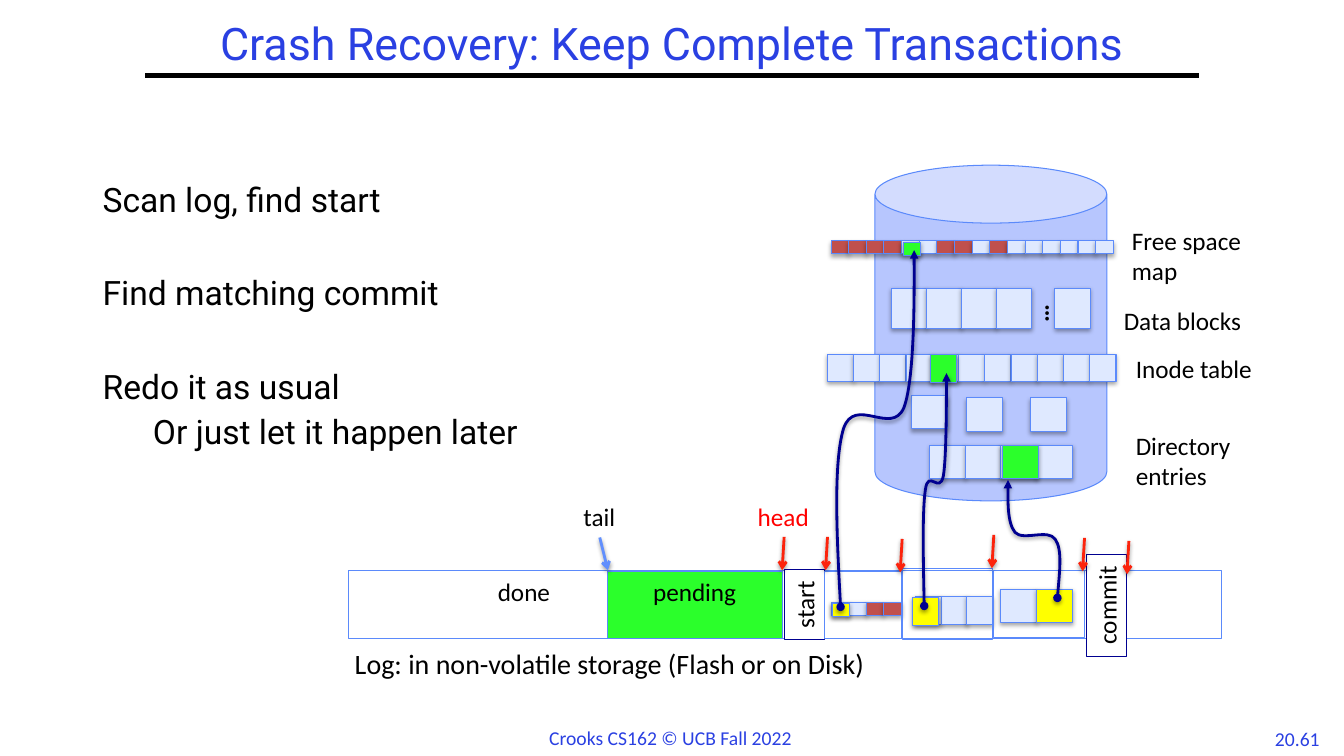
from dataclasses import dataclass

from pptx import Presentation
from pptx.dml.color import RGBColor
from pptx.enum.shapes import MSO_CONNECTOR as Link, MSO_SHAPE as Preset
from pptx.enum.text import MSO_ANCHOR as Anchor, PP_ALIGN as Align
from pptx.oxml import parse_xml
from pptx.oxml.ns import nsdecls, qn
from pptx.util import Pt


@dataclass(frozen=True)
class Theme:
    heading: str = "Roboto"
    label: str = "Calibri"
    title_size: float = 32
    body_size: float = 24
    caption_size: float = 20
    label_size: float = 18
    footer_size: float = 14
    blue: str = "2A40E2"
    black: str = "000000"
    white: str = "FFFFFF"
    edge: str = "5B8AFB"
    disk: str = "B7C6FE"
    block: str = "DFE9FF"
    used: str = "C0504D"
    pending: str = "2BFF2B"
    logged: str = "FFFF00"
    navy: str = "000090"
    arrow: str = "FC230C"
    tail: str = "618FFD"
    head: str = "FF0000"
    thin: float = 0.75
    medium: float = 2
    thick: float = 3


@dataclass(frozen=True)
class Box:
    left: float
    top: float
    width: float
    height: float

    def inner(self, x, y, width, height):
        return Box(self.left + x, self.top + y, width, height)

    def point(self, x, y):
        return Pt(self.left + x), Pt(self.top + y)

    def frame(self):
        return Pt(self.left), Pt(self.top), Pt(self.width), Pt(self.height)


THEME = Theme()
CELL_FILLS = {".": THEME.block, "R": THEME.used, "G": THEME.pending, "Y": THEME.logged}


def rgb(value):
    return RGBColor.from_string(value)


def style_text(paragraph, size, color=THEME.black, font=THEME.label, bold=False):
    for run in paragraph.runs:
        run.font.name, run.font.size, run.font.bold = font, Pt(size), bold
        run.font.color.rgb = rgb(color)


def add_label(slide, box, text, color=THEME.black, size=THEME.label_size,
              wrap=False, align=Align.LEFT, bold=False):
    label = slide.shapes.add_textbox(*box.frame())
    label.text_frame.word_wrap = wrap
    label.text_frame.text = text
    for paragraph in label.text_frame.paragraphs:
        paragraph.alignment = align
        style_text(paragraph, size, color, bold=bold)
    return label


def add_panel(slide, box, fill=None, edge=THEME.edge, preset=Preset.RECTANGLE):
    panel = slide.shapes.add_shape(preset, *box.frame())
    panel.shadow.inherit = False
    if fill:
        panel.fill.solid()
        panel.fill.fore_color.rgb = rgb(fill)
    else:
        panel.fill.background()
    panel.line.color.rgb = rgb(edge)
    panel.line.width = Pt(THEME.thin)
    return panel


def set_effects(shape, alpha=None):
    properties = shape._element.spPr
    for old in properties.findall(qn("a:effectLst")):
        properties.remove(old)
    shadow = "" if alpha is None else (
        f'<a:outerShdw blurRad="{Pt(3.1)}" dist="{Pt(1.7)}" dir="5400000" rotWithShape="0">'
        f'<a:srgbClr val="{THEME.black}"><a:alpha val="{alpha * 1000}"/></a:srgbClr></a:outerShdw>')
    properties.append(parse_xml(f'<a:effectLst {nsdecls("a")}>{shadow}</a:effectLst>'))


def style_line(shape, color, width, alpha=None, **ends):
    shape.line.color.rgb = rgb(color)
    shape.line.width = Pt(width)
    outline = shape._element.spPr.find(qn("a:ln"))
    for end, kind in ends.items():
        outline.append(parse_xml(f'<a:{end} {nsdecls("a")} type="{kind}"/>'))
    set_effects(shape, alpha)


def add_line(slide, start, stop, color, width, alpha=None, **ends):
    line = slide.shapes.add_connector(Link.STRAIGHT, *start, *stop)
    style_line(line, color, width, alpha, **ends)


def add_cells(slide, box, pattern, pitch=0):
    for index, mark in enumerate(pattern):
        cell = add_panel(slide, box.inner(index * pitch, 0, box.width, box.height), CELL_FILLS[mark])
        set_effects(cell, 35)


def add_marker(slide, box, text):
    marker = add_panel(slide, box, THEME.white, THEME.navy)
    marker.rotation = 270
    marker.text_frame.word_wrap = False
    marker.text_frame.text = text
    marker.text_frame.paragraphs[0].alignment = Align.CENTER
    style_text(marker.text_frame.paragraphs[0], THEME.label_size)


def add_redo_curve(slide, box, start, *bends):
    builder = slide.shapes.build_freeform(*box.point(*start), scale=1.0)
    builder.add_line_segments([box.point(*bend) for bend in bends], close=False)
    curve = builder.convert_to_shape()
    corners = list(curve._element.iter(qn("a:lnTo")))
    for first in range(0, len(corners), 3):
        bezier = parse_xml(f'<a:cubicBezTo {nsdecls("a")}/>')
        corners[first].addprevious(bezier)
        for corner in corners[first:first + 3]:
            bezier.append(corner[0])
            corner.getparent().remove(corner)
    curve.fill.background()
    style_line(curve, THEME.navy, THEME.medium, 38, headEnd="oval", tailEnd="triangle")


def draw_heading(slide, box):
    title = slide.shapes.title
    title.left, title.top, title.width, title.height = box.frame()
    title.text_frame.text = "Crash Recovery: Keep Complete Transactions"
    title.text_frame.vertical_anchor = Anchor.MIDDLE
    heading = title.text_frame.paragraphs[0]
    heading.alignment, heading.line_spacing = Align.CENTER, 0.9
    style_text(heading, THEME.title_size, THEME.blue, THEME.heading)
    add_line(slide, box.point(103.7, 42), box.point(856.1, 42), THEME.black, THEME.thick)


def draw_steps(slide, box):
    steps = slide.shapes.add_textbox(*box.frame()).text_frame
    steps.word_wrap = True
    steps.text = ("Scan log, find start\nFind matching commit\n"
                  "Redo it as usual\nOr just let it happen later")
    for step, gap in zip(steps.paragraphs, (0, 40.8, 40.8, 6.8)):
        step.line_spacing, step.space_before = 0.9, Pt(gap)
        style_text(step, THEME.body_size, font=THEME.heading)
    detail = steps.paragraphs[-1]
    detail.level = 1
    detail._p.get_or_add_pPr().set("marL", str(Pt(36)))


def draw_disk(slide, box):
    add_panel(slide, box, THEME.disk, preset=Preset.CAN)
    rows = (
        (-31.4, 54, 12.6, 9.4, "RRRR..RR.R......", 12.6),
        (11.8, 87.8, 25.2, 28.8, "....", 25),
        (128.5, 87.8, 25.2, 28.8, ".", 0),
        (-34, 135.1, 18.7, 19.4, "...........", 18.75),
        (39.2, 200.2, 25.9, 23.8, "....", 25.3),
        (26.2, 164.6, 25.9, 23.8, ".", 0),
        (65.1, 166.3, 25.9, 23.8, "..", 46.1),
        (20.2, 55.1, 12.6, 9.4, "G", 0),
        (39.8, 135.6, 18.7, 19.4, "G", 0),
        (91.2, 200.2, 25.9, 23.8, "G", 0),
    )
    for x, y, width, height, pattern, pitch in rows:
        add_cells(slide, box.inner(x, y, width, height), pattern, pitch)
    ellipsis = add_label(slide, box.inner(100.8, 88.6, 32.4, 28.8), "…", bold=True)
    ellipsis.rotation = 270
    add_label(slide, box.inner(176.4, 39.5, 101.5, 72.7), "Free space map", wrap=True)
    add_label(slide, box.inner(170.6, 96.6, 109.4, 28.8), "Data blocks")
    add_label(slide, box.inner(179.2, 131.1, 104.4, 28.8), "Inode table")
    add_label(slide, box.inner(179.2, 185.8, 87.1, 51.1), "Directory\nentries")


def draw_log(slide, box):
    add_panel(slide, box)
    add_panel(slide, box.inner(185.5, 0.8, 124.6, 48.2), THEME.pending)
    for x, y, width, text, color, size in (
        (-2.4, 50.7, 422, "Log: in non-volatile storage (Flash or on Disk)",
         THEME.black, THEME.caption_size),
        (285.5, -52.5, 54.7, "head", THEME.head, THEME.label_size),
        (161, -52.5, 37.4, "tail", THEME.black, THEME.label_size),
        (210.7, 0.9, 79.2, "pending", THEME.black, THEME.label_size),
        (99.8, 0.9, 54.7, "done", THEME.black, THEME.label_size),
    ):
        add_label(slide, box.inner(x, y, width, 28.8), text, color, size)
    add_marker(slide, box.inner(301, 10.1, 49.7, 28.8), "start")
    add_cells(slide, box.inner(345, 23, 12.6, 9.4), "..RR", 12.5)
    add_cells(slide, box.inner(345.6, 23.7, 12.6, 9.4), "Y")
    add_cells(slide, box.inner(405.1, 18.5, 18.7, 20.2), "...", 18.4)
    add_cells(slide, box.inner(402.9, 19.2, 18.7, 20.2), "Y")
    add_cells(slide, box.inner(465.9, 13.6, 25.9, 23.8), ".Y", 25.9)
    for x, y, width, height in ((340.3, 0.9, 54.7, 48.2), (395.8, -1.2, 64.8, 50.4),
                                (461.1, 0, 64.8, 48.2)):
        add_panel(slide, box.inner(x, y, width, height))
    add_redo_curve(slide, box, (351.8, 26.2),
                   (348.9, -25.6), (346.7, -77.4), (353.9, -101.2),
                   (361.9, -125), (388.5, -95.4), (397.1, -116.3),
                   (405.1, -137.9), (404.3, -228.6), (404.3, -228.6))
    add_redo_curve(slide, box, (411.5, 25.5),
                   (410.8, -8.3), (410.1, -42.2), (412.3, -57.3),
                   (414.4, -73.1), (422.3, -53.7), (425.2, -67.4),
                   (427.4, -81.1), (427.4, -140.8), (427.4, -140.8))
    add_redo_curve(slide, box, (506.6, 19.8),
                   (508, 2.5), (510.2, -14.8), (505.1, -22),
                   (500.1, -29.9), (482.1, -20.6), (476.3, -27),
                   (470.6, -34.2), (471.3, -64.5), (471.3, -64.5))
    add_marker(slide, box.inner(505, 10.7, 73.4, 28.8), "commit")
    add_line(slide, box.point(179.7, -23.4), box.point(185.5, 0), THEME.tail, THEME.medium, 38,
             tailEnd="arrow")
    for x, y in ((310, 0), (341, 0), (394.3, 1.5), (459.8, -1.4), (524.6, 0.7), (556.3, 2.9)):
        add_line(slide, box.point(x + 1.4, y - 23.8), box.point(x, y), THEME.arrow,
                 THEME.medium, 38, tailEnd="arrow")


def draw_footer(slide, box):
    add_label(slide, box.inner(385.2, 0, 189.4, box.height), "Crooks CS162 © UCB Fall 2022",
              THEME.blue, THEME.footer_size)
    add_label(slide, box.inner(902.2, 0.7, 49, box.height), "20.61",
              THEME.blue, THEME.footer_size, align=Align.CENTER)


def main():
    deck = Presentation()
    deck.slide_width, deck.slide_height = Pt(960), Pt(540)
    slide = deck.slides.add_slide(deck.slide_layouts[5])
    draw_heading(slide, Box(0, 12, 960, 41.8))
    draw_footer(slide, Box(0, 514.8, 960, 24.5))
    draw_steps(slide, Box(66.2, 127.4, 539.3, 239.8))
    draw_disk(slide, Box(625, 118, 165.6, 239.8))
    draw_log(slide, Box(248.7, 407.3, 624.2, 49))
    deck.save("out.pptx")


if __name__ == "__main__":
    main()
